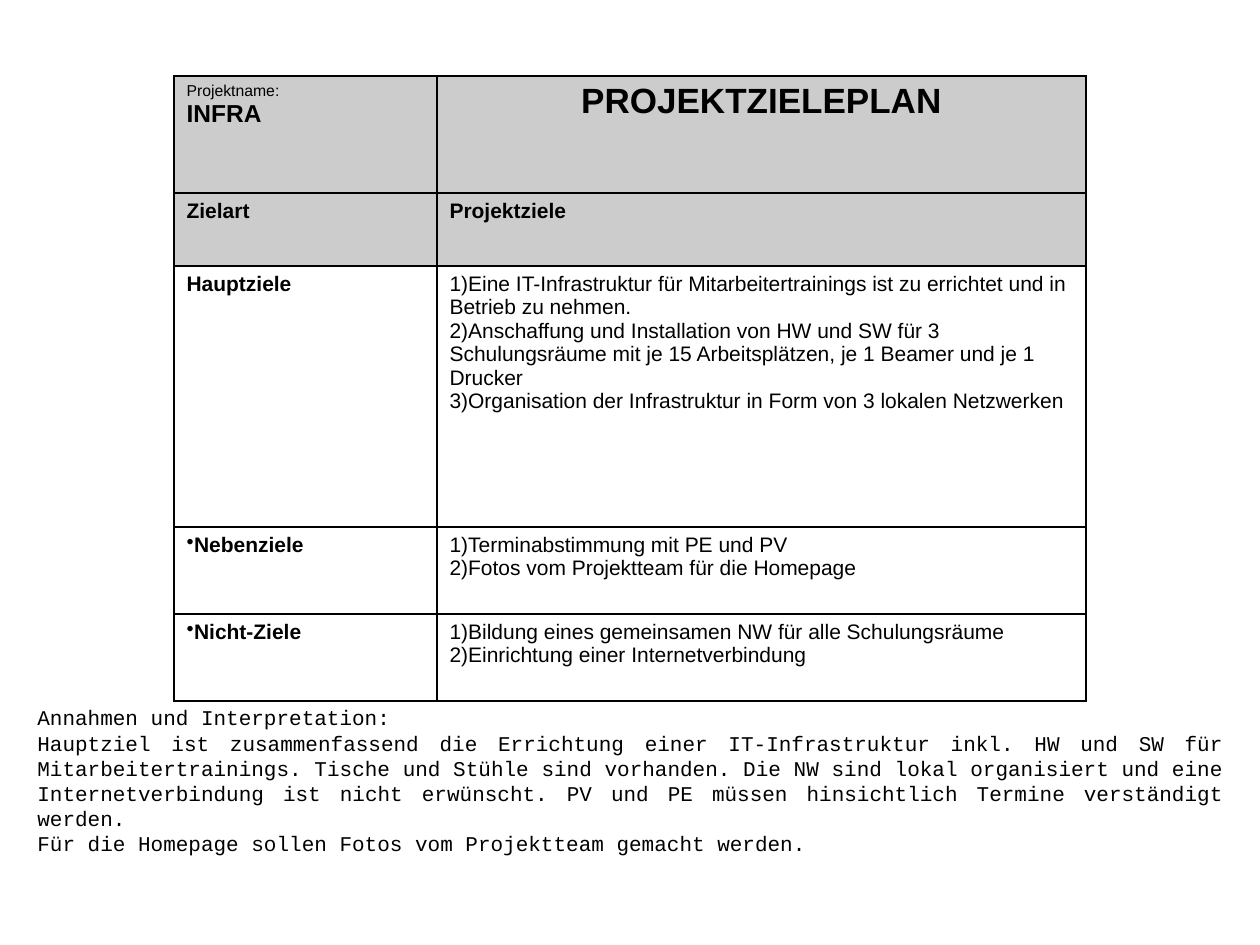
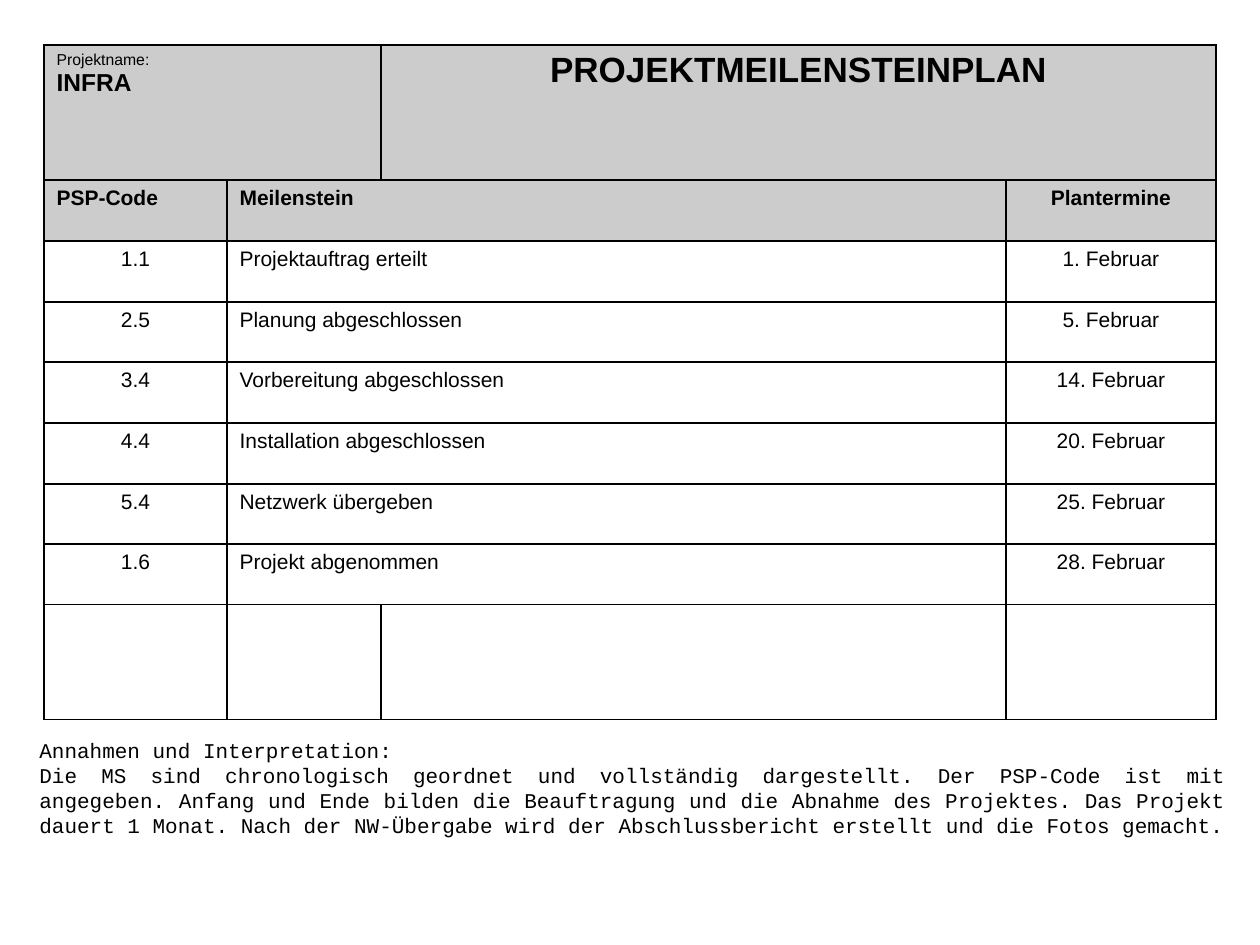
from pptx import Presentation
from pptx.dml.color import RGBColor
from pptx.enum.text import MSO_ANCHOR, PP_ALIGN
from pptx.oxml.ns import qn
from pptx.util import Pt
from lxml.etree import SubElement, Element

PROJECT = "INFRA"
ASSUMPTIONS = "Annahmen und Interpretation:"

GOALS_TITLE = "PROJEKTZIELEPLAN"
GOALS_HEAD = ("Zielart", "Projektziele")
GOALS = [
    ("Hauptziele", False, [
        "Eine IT-Infrastruktur für Mitarbeitertrainings ist zu errichtet und in Betrieb zu nehmen.",
        "Anschaffung und Installation von HW und SW für 3 Schulungsräume mit je 15 Arbeitsplätzen, "
        "je 1 Beamer und je 1 Drucker",
        "Organisation der Infrastruktur in Form von 3 lokalen Netzwerken",
    ]),
    ("Nebenziele", True, [
        "Terminabstimmung mit PE und PV",
        "Fotos vom Projektteam für die Homepage",
    ]),
    ("Nicht-Ziele", True, [
        "Bildung eines gemeinsamen NW für alle Schulungsräume",
        "Einrichtung einer Internetverbindung",
    ]),
]
GOALS_NOTES = [
    "Hauptziel ist zusammenfassend die Errichtung einer IT-Infrastruktur inkl. HW und SW für "
    "Mitarbeitertrainings. Tische und Stühle sind vorhanden. Die NW sind lokal organisiert und eine "
    "Internetverbindung ist nicht erwünscht. PV und PE müssen hinsichtlich Termine verständigt werden.",
    "Für die Homepage sollen Fotos vom Projektteam gemacht werden.",
]

MILESTONES_TITLE = "PROJEKTMEILENSTEINPLAN"
MILESTONES_HEAD = ("PSP-Code", "Meilenstein", "Plantermine")
MILESTONES = [
    ("1.1", "Projektauftrag erteilt", "1. Februar"),
    ("2.5", "Planung abgeschlossen", "5. Februar"),
    ("3.4", "Vorbereitung abgeschlossen", "14. Februar"),
    ("4.4", "Installation abgeschlossen", "20. Februar"),
    ("5.4", "Netzwerk übergeben", "25. Februar"),
    ("1.6", "Projekt abgenommen", "28. Februar"),
]
MILESTONES_NOTES = [
    "Die MS sind chronologisch geordnet und vollständig dargestellt. Der PSP-Code ist mit angegeben. "
    "Anfang und Ende bilden die Beauftragung und die Abnahme des Projektes. Das Projekt dauert 1 Monat. "
    "Nach der NW-Übergabe wird der Abschlussbericht erstellt und die Fotos gemacht.",
]

BLACK = RGBColor(0x00, 0x00, 0x00)
GREY = RGBColor(0xCC, 0xCC, 0xCC)
LEFT, CENTER, JUSTIFY = PP_ALIGN.LEFT, PP_ALIGN.CENTER, PP_ALIGN.JUSTIFY
NUMBER = ("a:buAutoNum", {"type": "arabicParenR"})
DOT = ("a:buChar", {"char": "•"})
HEAD_ROWS = 2


def px(n):
    return n * 914400 // 126


def write(tf, lines, size=12, bold=False, align=LEFT, bullet=None, font="Arial"):
    for i, line in enumerate(lines):
        p = tf.paragraphs[0] if i == 0 else tf.add_paragraph()
        p.text = line
        p.alignment = align
        p.font.name = font
        p.font.size = Pt(size)
        p.font.bold = bold
        p.font.color.rgb = BLACK
        if bullet:
            tag, attrs = bullet
            pPr = p._p.get_or_add_pPr()
            b = Element(qn(tag), attrs)
            pPr.insert(0, b)


def set_borders(cell, width):
    tcPr = cell._tc.get_or_add_tcPr()
    for i, side in enumerate(("lnL", "lnR", "lnT", "lnB")):
        ln = Element(qn("a:" + side), {"w": str(Pt(width))})
        fill = SubElement(ln, qn("a:solidFill"))
        SubElement(fill, qn("a:srgbClr"), {"val": str(BLACK)})
        tcPr.insert(i, ln)


def add_plan(s, left, top, cols, rows, title, title_col):
    frame = s.shapes.add_table(len(rows), len(cols), px(left), px(top), px(sum(cols)), px(sum(rows)))
    table = frame.table
    table.first_row = table.horz_banding = False
    for col, width in zip(table.columns, cols):
        col.width = px(width)
    for r, height in enumerate(rows):
        table.rows[r].height = px(height)
        for cell in table.rows[r].cells:
            if r < HEAD_ROWS:
                cell.fill.solid()
                cell.fill.fore_color.rgb = GREY
            else:
                cell.fill.background()
            set_borders(cell, 1)
    name = table.cell(0, 0).text_frame
    write(name, ["Projektname:", PROJECT], 14, True)
    name.paragraphs[0].font.size = Pt(9)
    name.paragraphs[0].font.bold = False
    write(table.cell(0, title_col).text_frame, [title], 20, True, CENTER)
    return table


def add_notes_box(s, left, top, height, notes):
    tf = s.shapes.add_textbox(px(left), px(top), px(1211), px(height)).text_frame
    tf.word_wrap = True
    tf.vertical_anchor = MSO_ANCHOR.MIDDLE
    write(tf, [ASSUMPTIONS, *notes], align=JUSTIFY, font="Courier New")


def build_goals(s):
    table = add_plan(s, 174, 76, [263, 649], [117, 73, 261, 87, 87], GOALS_TITLE, 1)
    for c, text in enumerate(GOALS_HEAD):
        write(table.cell(1, c).text_frame, [text], bold=True)
    for r, (kind, dotted, goals) in enumerate(GOALS, HEAD_ROWS):
        write(table.cell(r, 0).text_frame, [kind], bold=True, bullet=DOT if dotted else None)
        write(table.cell(r, 1).text_frame, goals, bullet=NUMBER)
    add_notes_box(s, 25, 711, 139, GOALS_NOTES)


def build_milestones(s):
    rows = [135] + [61, 61, 60] * 2 + [61, 115]
    table = add_plan(s, 44, 45, [183, 154, 625, 210], rows, MILESTONES_TITLE, 2)
    for c in (0, 2):
        table.cell(0, c).merge(table.cell(0, c + 1))
    for r, row in enumerate([MILESTONES_HEAD, *MILESTONES], 1):
        table.cell(r, 1).merge(table.cell(r, 2))
        head = r < HEAD_ROWS
        aligns = (LEFT if head else CENTER, LEFT, CENTER)
        for c, text, align in zip((0, 1, 3), row, aligns):
            write(table.cell(r, c).text_frame, [text], bold=head, align=align)
    add_notes_box(s, 27, 731, 113, MILESTONES_NOTES)


def main():
    prs = Presentation()
    prs.slide_width, prs.slide_height = px(1260), px(945)
    for build in (build_goals, build_milestones):
        build(prs.slides.add_slide(prs.slide_layouts[6]))
    prs.save("out.pptx")


if __name__ == "__main__":
    main()
